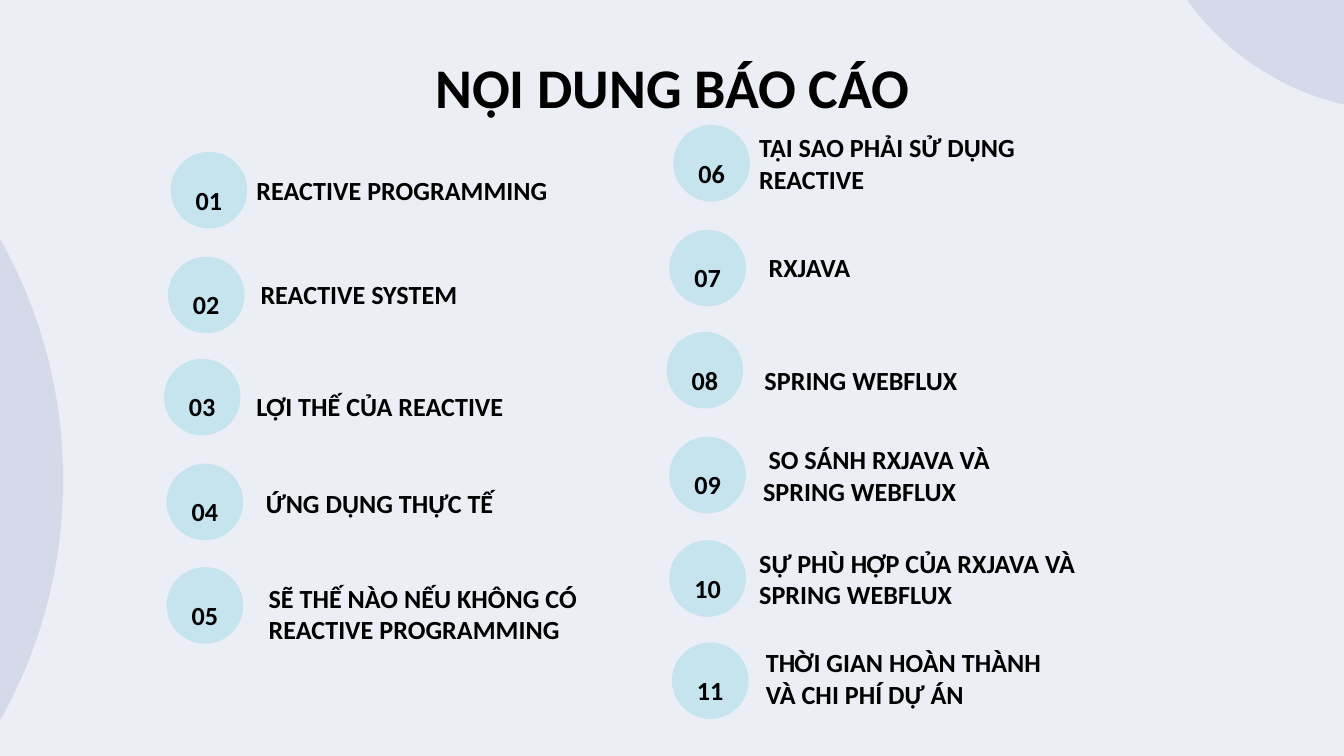
import pptx
import pptx.dml.color
import pptx.enum.shapes
import pptx.enum.text
import pptx.util

Inches = pptx.util.Inches
ALIGN = pptx.enum.text.PP_ALIGN
ANCHOR = pptx.enum.text.MSO_ANCHOR

COLOURS = {
    "background": "EBEEF5",
    "decoration": "D4DAE9",
    "badge": "C5E4EE",
    "text": "000000",
}
FONT = "Calibri"
SLIDE_WIDTH = 10
SLIDE_HEIGHT = SLIDE_WIDTH * 9 / 16
BADGE_SIZE = 0.57
NUMBER_OFFSET, NUMBER_HEIGHT = 0.22, 0.27
SPACE = 0.04  # first-line indent of some labels

TITLE = "NỘI DUNG BÁO CÁO"
# Decorative circles: left, top, diameter
DECORATIONS = [(-6.83, -0.08, 7.3), (8.46, -3.15, 3.98)]
# Agenda: label, badge (left, top), label (left, top, width), first-line indent
AGENDA = [
    ("REACTIVE PROGRAMMING", (1.27, 1.13), (1.81, 1.13, 2.41), 0),
    ("REACTIVE SYSTEM", (1.25, 1.91), (1.84, 1.9, 1.72), 0),
    ("LỢI THẾ CỦA REACTIVE", (1.22, 2.67), (1.81, 2.74, 2.06), 0),
    ("ỨNG DỤNG THỰC TẾ", (1.24, 3.45), (1.88, 3.46, 2.06), 0),
    ("SẼ THẾ NÀO NẾU KHÔNG CÓ REACTIVE PROGRAMMING",
     (1.24, 4.22), (1.9, 4.28, 2.62), 0),
    ("TẠI SAO PHẢI SỬ DỤNG REACTIVE", (5.01, 0.93), (5.55, 0.93, 2.41), 0),
    ("RXJAVA", (4.98, 1.71), (5.58, 1.7, 1.72), SPACE),
    ("SPRING WEBFLUX", (4.96, 2.47), (5.55, 2.54, 2.06), SPACE),
    ("SO SÁNH RXJAVA VÀ SPRING WEBFLUX",
     (4.98, 3.25), (5.58, 3.25, 2.06), SPACE),
    ("SỰ PHÙ HỢP CỦA RXJAVA VÀ SPRING WEBFLUX",
     (4.98, 4.02), (5.55, 4.02, 2.62), 0),
    ("THỜI GIAN HOÀN THÀNH VÀ CHI PHÍ DỰ ÁN",
     (5.0, 4.78), (5.6, 4.76, 2.37), 0),
]


def colour(name):
    return pptx.dml.color.RGBColor.from_string(COLOURS[name])


def add_circle(slide, left, top, diameter, fill):
    shape = slide.shapes.add_shape(
        pptx.enum.shapes.MSO_SHAPE.OVAL,
        Inches(left), Inches(top), Inches(diameter), Inches(diameter))
    shape.shadow.inherit = False
    shape.fill.solid()
    shape.fill.fore_color.rgb = colour(fill)
    shape.line.fill.background()


def add_text(slide, text, left, top, width, height, size=14, align=ALIGN.LEFT,
             anchor=ANCHOR.MIDDLE, indent=0, shape=None):
    box = [Inches(value) for value in (left, top, width, height)]
    if shape is None:
        shape = slide.shapes.add_textbox(*box)
    shape.left, shape.top, shape.width, shape.height = box
    frame = shape.text_frame
    frame.word_wrap = True
    frame.auto_size = pptx.enum.text.MSO_AUTO_SIZE.NONE
    frame.vertical_anchor = anchor
    frame.margin_left = frame.margin_right = Inches(0.1)
    frame.margin_top = frame.margin_bottom = Inches(0.1)
    paragraph = frame.paragraphs[0]
    paragraph.alignment = align
    if indent:
        paragraph._p.get_or_add_pPr().set("indent", str(Inches(indent)))
    run = paragraph.add_run()
    run.text = text
    run.font.name = FONT
    run.font.size = pptx.util.Pt(size)
    run.font.bold = True
    run.font.color.rgb = colour("text")


def main():
    presentation = pptx.Presentation()
    presentation.slide_width = Inches(SLIDE_WIDTH)
    presentation.slide_height = Inches(SLIDE_HEIGHT)
    slide = presentation.slides.add_slide(presentation.slide_layouts[5])

    # Background
    slide.background.fill.solid()
    slide.background.fill.fore_color.rgb = colour("background")
    for left, top, diameter in DECORATIONS:
        add_circle(slide, left, top, diameter, "decoration")

    # Title
    add_text(slide, TITLE, 0.79, 0.29, 8.43, 0.6, size=30, align=ALIGN.CENTER,
             anchor=ANCHOR.TOP, shape=slide.shapes.title)

    # Numbered agenda
    for number, (label, badge, place, indent) in enumerate(AGENDA, start=1):
        left, top = badge
        add_circle(slide, left, top, BADGE_SIZE, "badge")
        add_text(slide, f"{number:02d}", left, top + NUMBER_OFFSET,
                 BADGE_SIZE, NUMBER_HEIGHT, align=ALIGN.CENTER)
        add_text(slide, label, *place, BADGE_SIZE, indent=indent)

    presentation.save("out.pptx")


if __name__ == "__main__":
    main()
